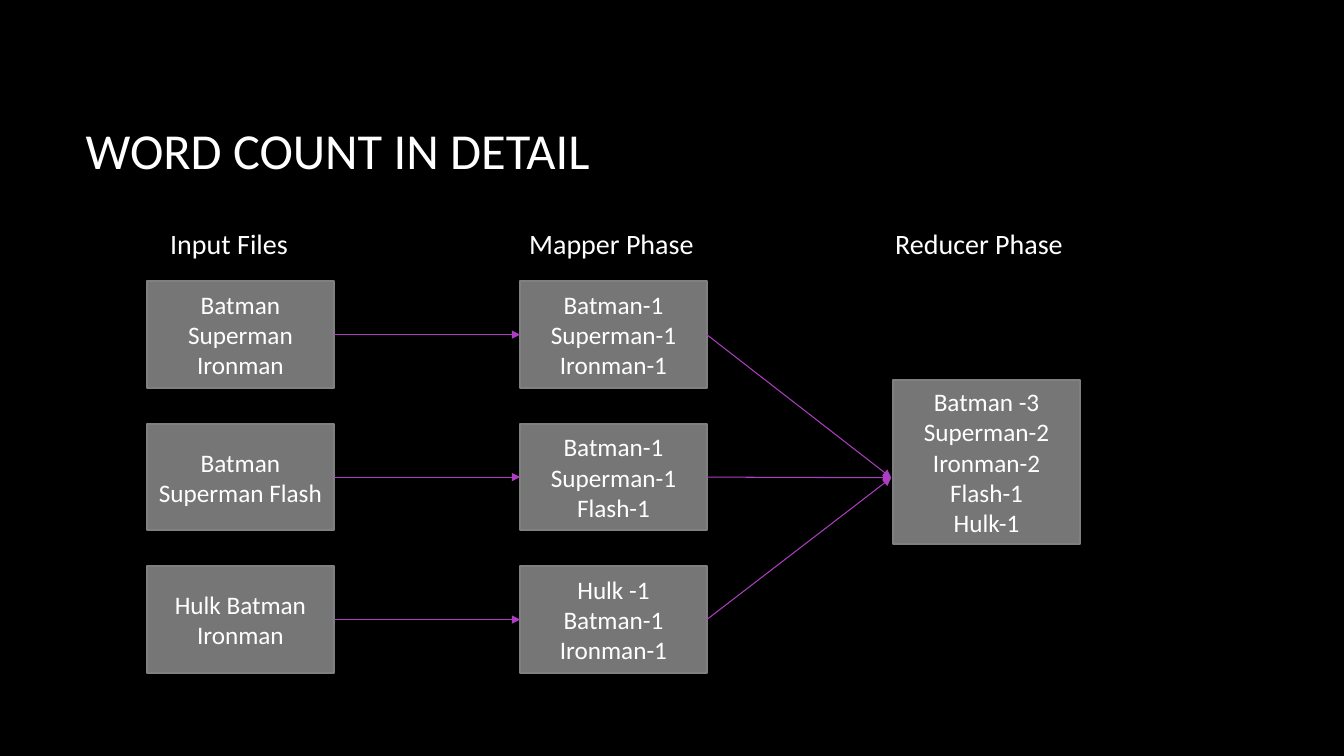
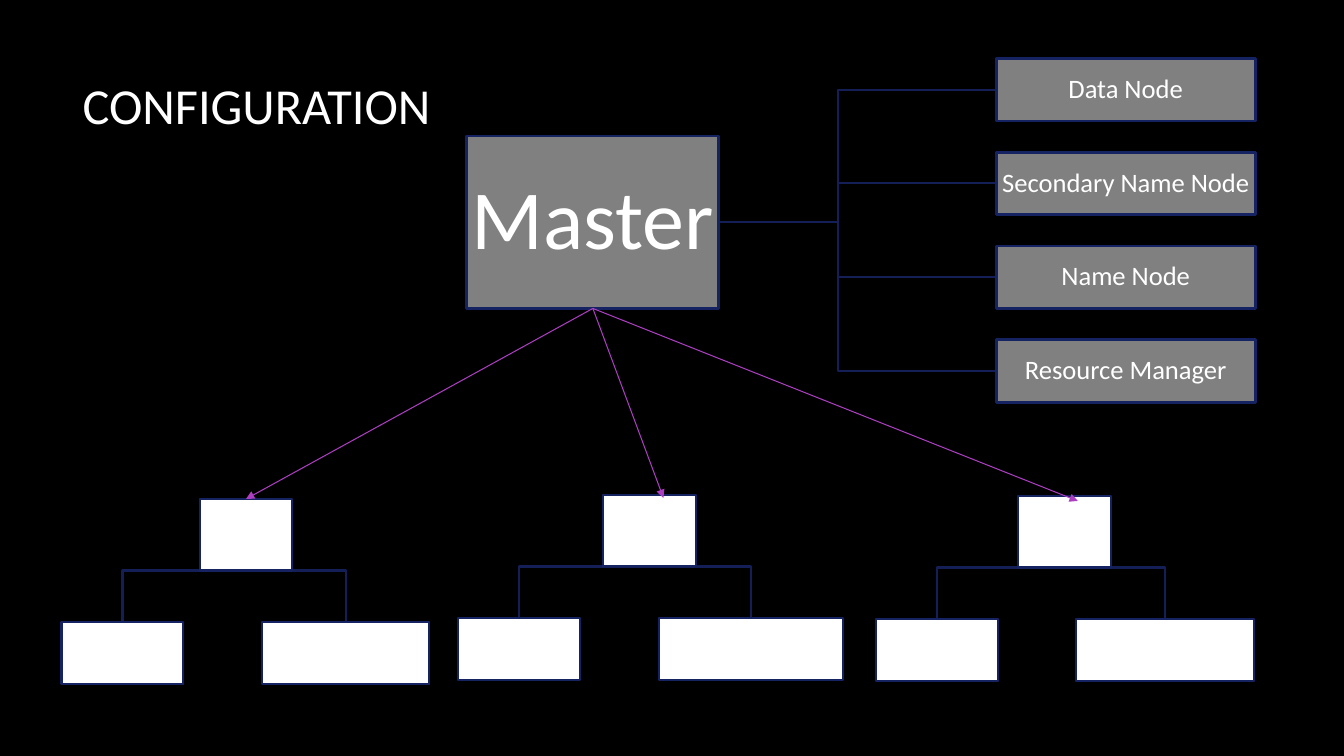
from dataclasses import dataclass

from lxml.etree import SubElement
from pptx import Presentation
from pptx.dml.color import RGBColor
from pptx.enum.shapes import MSO_CONNECTOR, MSO_SHAPE
from pptx.enum.text import MSO_ANCHOR, MSO_AUTO_SIZE, PP_ALIGN
from pptx.oxml.ns import qn
from pptx.util import Inches, Pt


@dataclass(frozen=True)
class Theme:
    font: str = "Calibri"
    back: RGBColor = RGBColor(0x00, 0x00, 0x00)
    text: RGBColor = RGBColor(0xFF, 0xFF, 0xFF)
    box: RGBColor = RGBColor(0x76, 0x76, 0x76)
    gray: RGBColor = RGBColor(0x80, 0x80, 0x80)
    navy: RGBColor = RGBColor(0x16, 0x23, 0x62)
    branch: RGBColor = RGBColor(0x13, 0x1F, 0x56)
    arrow: RGBColor = RGBColor(0xAC, 0x3E, 0xC1)
    title_pt: int = 36
    master_pt: int = 60
    head_pt: int = 20
    node_pt: int = 19
    body_pt: int = 18


T = Theme()


def add_box(s, at, fill, line, width, text="", size=T.body_pt, inset=0.1, spacing=1.0):
    sp = s.shapes.add_shape(MSO_SHAPE.RECTANGLE, *map(Inches, at))
    sp.shadow.inherit = False
    sp.fill.solid()
    sp.fill.fore_color.rgb = fill
    sp.line.color.rgb = line
    sp.line.width = Pt(width)
    tf = sp.text_frame
    tf.word_wrap = True
    tf.vertical_anchor = MSO_ANCHOR.MIDDLE
    tf.margin_left = tf.margin_right = Inches(inset)
    tf.margin_top = tf.margin_bottom = Inches(min(inset, 0.05))
    if text:
        tf.text = text
        for p in tf.paragraphs:
            p.alignment = PP_ALIGN.CENTER
            p.line_spacing = spacing
            p.font.name, p.font.size = T.font, Pt(size)
            p.font.color.rgb = T.text
    return sp


def add_arrow(s, source, side, tip=(0, 0), target=None, target_side=0):
    """Arrow from a box side to a point, or to a side of the target box."""
    x, y = map(Inches, tip)
    c = s.shapes.add_connector(MSO_CONNECTOR.STRAIGHT, x, y, x, y)
    c.begin_connect(source, side)
    if target is not None:
        c.end_connect(target, target_side)
    c.line.color.rgb = T.arrow
    c.line.width = Pt(0.75)
    SubElement(c.line._get_or_add_ln(), qn("a:tailEnd"), type="triangle")
    SubElement(c._element.spPr, qn("a:effectLst"))


# Presentation, shared background and titles
prs = Presentation()
prs.slide_width, prs.slide_height = Inches(13.33), Inches(7.5)
prs.slide_master.background.fill.solid()
prs.slide_master.background.fill.fore_color.rgb = T.back

TITLES = [
    ("WORD COUNT IN DETAIL", (0.75, 0.69, 11.08, 1.59)),
    ("CONFIGURATION", (0.72, 0.68, 4.88, 0.71)),
]
for text, at in TITLES:
    s = prs.slides.add_slide(prs.slide_layouts[5])
    sp = s.shapes.title
    sp.left, sp.top, sp.width, sp.height = map(Inches, at)
    tf = sp.text_frame
    tf.text = text
    tf.word_wrap = True
    tf.auto_size = MSO_AUTO_SIZE.NONE
    tf.vertical_anchor = MSO_ANCHOR.MIDDLE
    p = tf.paragraphs[0]
    p.alignment = PP_ALIGN.LEFT
    p.font.name, p.font.size = T.font, Pt(T.title_pt)
    p.font.color.rgb = T.text
word_count, configuration = prs.slides

# Word count: column headings
s = word_count
for text, left in [("Input Files", 1.59), ("Mapper Phase", 5.15), ("Reducer Phase", 8.78)]:
    tf = s.shapes.add_textbox(*map(Inches, (left, 2.2, 2.2, 0.44))).text_frame
    tf.word_wrap = True
    p = tf.paragraphs[0]
    p.text = text
    p.font.name, p.font.size = T.font, Pt(T.head_pt)
    p.font.color.rgb = T.text

# Word count: grid with a gap of one box width and a third of a box height
LEFT, TOP, BOX_W, BOX_H = 1.46, 2.79, 1.85, 1.06
COL, ROW = 2 * BOX_W, BOX_H * 4 / 3
STYLE = (T.box, T.gray, 1.5)
REDUCER_TIP = (8.84, 4.74)
FLOWS = [
    ("Batman Superman Ironman", "Batman-1 Superman-1 Ironman-1"),
    ("Batman Superman Flash", "Batman-1 Superman-1\nFlash-1"),
    ("Hulk Batman Ironman", "Hulk -1\nBatman-1\nIronman-1"),
]
add_box(s, (LEFT + 2 * COL, 3.77, BOX_W, 1.63), *STYLE,
        "Batman -3 Superman-2 Ironman-2\nFlash-1\nHulk-1")
for row, texts in enumerate(FLOWS):
    source, mapper = [
        add_box(s, (LEFT + col * COL, TOP + row * ROW, BOX_W, BOX_H), *STYLE, text)
        for col, text in enumerate(texts)
    ]
    add_arrow(s, source, 3, target=mapper, target_side=1)
    add_arrow(s, mapper, 3, tip=REDUCER_TIP)

# Configuration: measures of the trees
s = configuration
MASTER = (4.63, 1.35, 2.5, 1.71)
NODE_LEFT, NODE_TOP, NODE_W, NODE_H, NODE_STEP = 9.88, 0.58, 2.57, 0.62, 0.93
NODES = ["Data Node", "Secondary Name Node", "Name Node", "Resource Manager"]
TRUNK_X = 8.31
WORKER_W, WORKER_H, CHILD_W, CHILD_H, CHILD_DROP = 0.92, 0.71, 1.21, 0.62, 1.22
# worker left and top, left child, right child and its width, arrow tip if off centre
WORKERS = [
    (1.98, 4.95, 0.61, 2.6, 1.66, None),
    (5.98, 4.91, 4.54, 6.54, 1.82, (6.58, 4.94)),
    (10.1, 4.92, 8.69, 10.67, 1.77, (10.69, 4.97)),
]

# Configuration: branches behind the boxes
master_right, master_mid = MASTER[0] + MASTER[2], MASTER[1] + MASTER[3] / 2
branches = []
for i in range(len(NODES)):
    y = NODE_TOP + i * NODE_STEP + NODE_H / 2
    branches.append([(master_right, master_mid), (TRUNK_X, master_mid),
                     (TRUNK_X, y), (NODE_LEFT, y)])
for _, top, child, wide, wide_w, _ in WORKERS:
    x1, x2 = child + CHILD_W / 2, wide + wide_w / 2
    y1, y2 = top + WORKER_H, top + CHILD_DROP
    branches.append([(x1, y2), (x1, y1), (x2, y1), (x2, y2)])
for points in branches:
    start, *rest = [(Inches(x), Inches(y)) for x, y in points]
    builder = s.shapes.build_freeform(*start)
    builder.add_line_segments(rest, close=False)
    sp = builder.convert_to_shape()
    sp.shadow.inherit = False
    sp.fill.background()
    sp.line.color.rgb = T.branch
    sp.line.width = Pt(1.5)

# Configuration: master and its nodes
master = add_box(s, MASTER, T.gray, T.navy, 2, "Master", T.master_pt, 0.04, 0.9)
for i, text in enumerate(NODES):
    add_box(s, (NODE_LEFT, NODE_TOP + i * NODE_STEP, NODE_W, NODE_H),
            T.gray, T.navy, 2, text, T.node_pt, 0.01, 0.9)

# Configuration: workers with two children each
for left, top, child, wide, wide_w, tip in WORKERS:
    worker = add_box(s, (left, top, WORKER_W, WORKER_H), T.text, T.navy, 1.5)
    for x, w in [(child, CHILD_W), (wide, wide_w)]:
        add_box(s, (x, top + CHILD_DROP, w, CHILD_H), T.text, T.navy, 1.5)
    if tip:
        add_arrow(s, master, 2, tip=tip)
    else:
        add_arrow(s, master, 2, target=worker, target_side=0)

prs.save("out.pptx")
